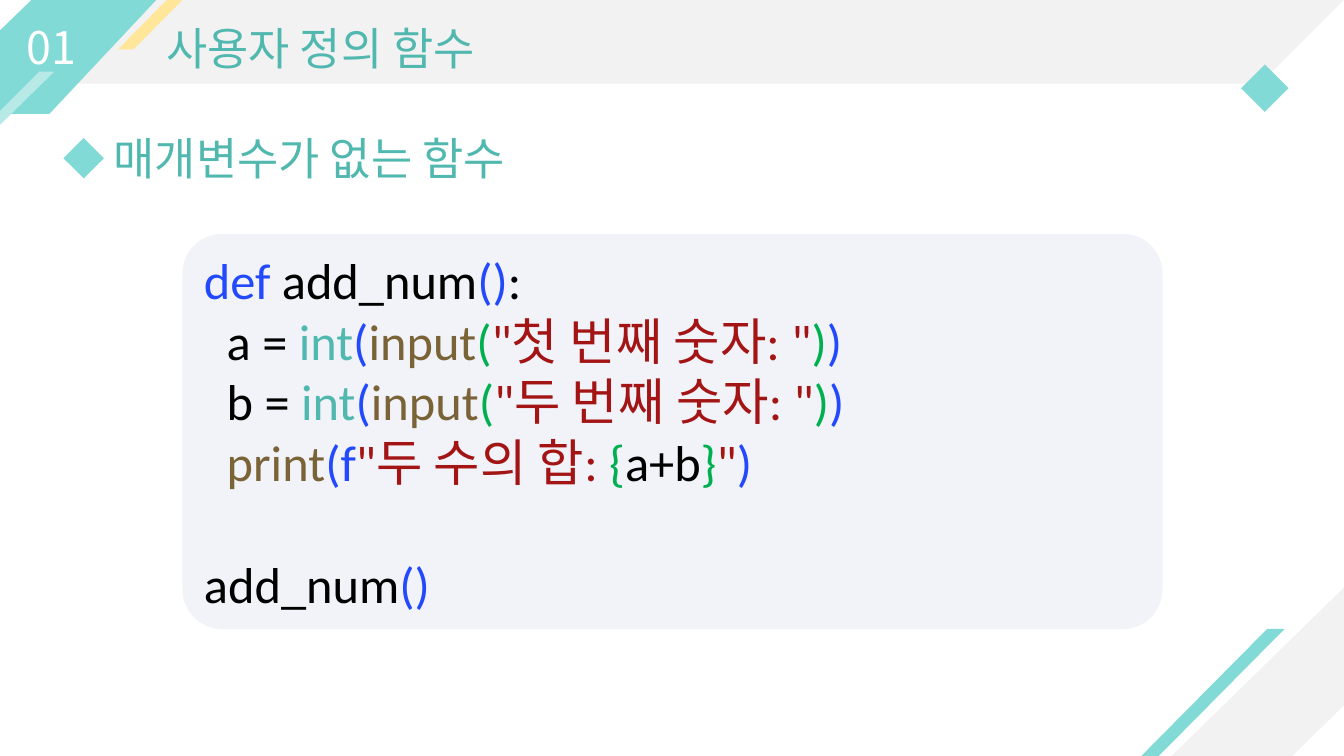
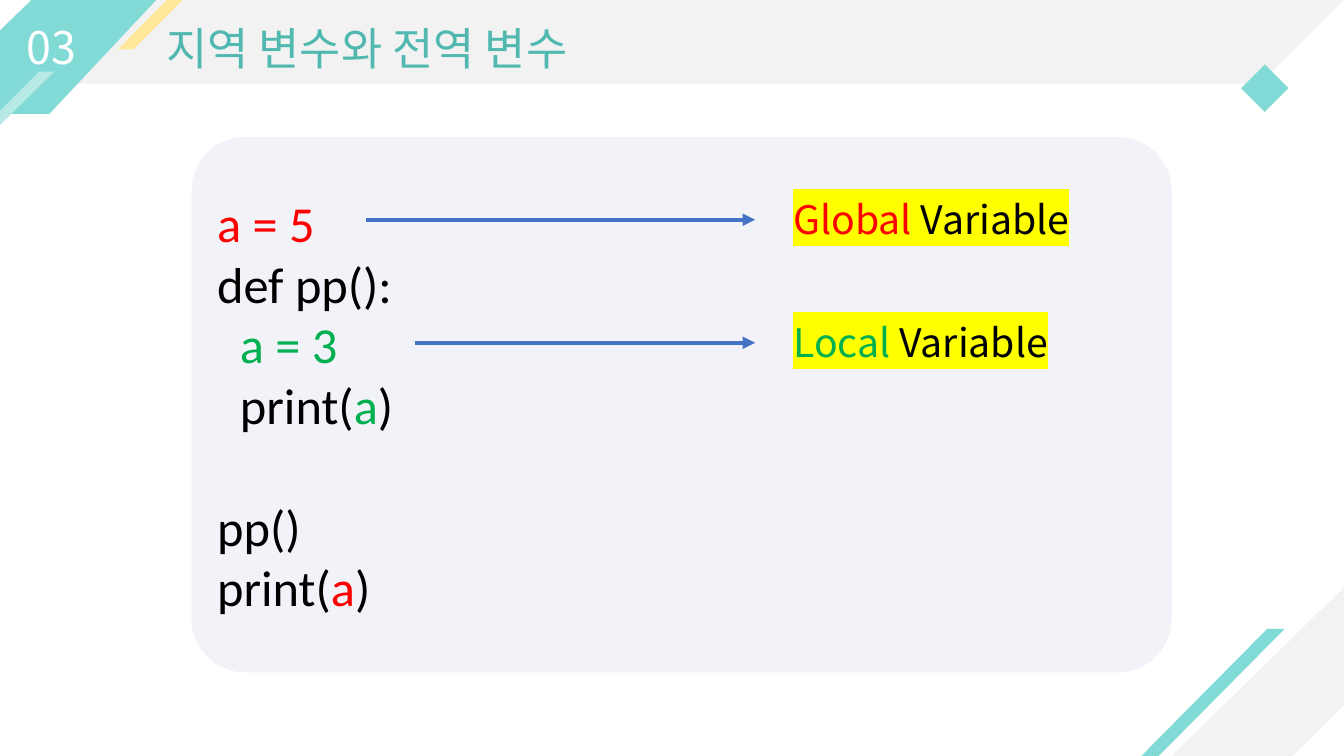
import pptx
import pptx.dml.color
import pptx.enum.shapes
import pptx.enum.text
import pptx.oxml.ns
import pptx.util
from lxml import etree

Inches = pptx.util.Inches
Pt = pptx.util.Pt
RGBColor = pptx.dml.color.RGBColor
Shape = pptx.enum.shapes.MSO_SHAPE
Align = pptx.enum.text.PP_ALIGN
qn = pptx.oxml.ns.qn

WHITE = RGBColor(0xFF, 0xFF, 0xFF)
BLACK = RGBColor(0x00, 0x00, 0x00)
GREY = RGBColor(0xF2, 0xF2, 0xF2)
MINT = RGBColor(0x81, 0xDA, 0xD6)
PALE_MINT = RGBColor(0xB7, 0xEA, 0xE6)
TEAL = RGBColor(0x51, 0xB8, 0xB0)
SAND = RGBColor(0xFF, 0xE6, 0x99)
PANEL = RGBColor(0xF2, 0xF3, 0xF9)
BLUE = RGBColor(0x22, 0x49, 0xFB)
OLIVE = RGBColor(0x79, 0x63, 0x37)
GREEN = RGBColor(0x00, 0xB0, 0x50)
MAROON = RGBColor(0xA3, 0x15, 0x15)
RED = RGBColor(0xFF, 0x00, 0x00)
YELLOW = RGBColor(0xFF, 0xFF, 0x00)
ARROW_BLUE = RGBColor(0x44, 0x72, 0xC4)

KOREAN_FONT = "Noto Sans CJK KR"
CODE_FONT = "Calibri"
HEADING_SIZE, CODE_SIZE, LABEL_SIZE = 32, 36, 28
CODE_LINE_HEIGHT = 44
WIDTH, HEIGHT = 13.33, 7.5


class Deck:
    def __init__(self):
        self.prs = pptx.Presentation()
        self.prs.slide_width = Inches(WIDTH)
        self.prs.slide_height = Inches(HEIGHT)
        self.slide = None

    def new_slide(self, number, title):
        self.slide = self.prs.slides.add_slide(self.prs.slide_layouts[6])
        self.decorate()
        self.text(0, 0.15, 1.03, 0.64, [(number, WHITE)], align=Align.CENTER)
        self.text(1.55, 0.16, 6.78, 0.64, [(title, TEAL)])

    def decorate(self):
        """Draw the title band and the corner ornaments."""
        self.shape(Shape.RIGHT_TRIANGLE, 11.62, 5.83, 1.71, 1.67, GREY, flip="flipH")
        self.shape(Shape.PARALLELOGRAM, 0.38, 0, 12.33, 0.83, GREY)
        self.shape(Shape.RIGHT_TRIANGLE, 12.5, 0, 0.83, 0.83, GREY, flip="flipV")
        self.shape(Shape.DIAMOND, 12.31, 0.64, 0.47, 0.47, MINT)
        self.polygon([(0, 0), (1.55, 0), (0.49, 1.13), (0, 1.13)], MINT)
        self.shape(Shape.RIGHT_TRIANGLE, 0, 0, 0.31, 0.3, WHITE, flip="flipV")
        self.shape(Shape.RIGHT_TRIANGLE, 12.82, 7, 0.51, 0.5, WHITE, flip="flipH")
        self.shape(Shape.PARALLELOGRAM, 11.32, 6.24, 1.42, 1.26, MINT, adjust=0.99)
        self.shape(Shape.PARALLELOGRAM, 1.17, 0, 0.64, 0.49, SAND, adjust=0.99)
        self.polygon([(0, 1.1), (0.39, 0.71), (0.54, 0.71), (0, 1.24)], PALE_MINT)

    def paint(self, shape, fill):
        shape.shadow.inherit = False
        shape.fill.solid()
        shape.fill.fore_color.rgb = fill
        shape.line.fill.background()

    def shape(self, preset, left, top, width, height, fill, flip=None, adjust=None):
        shape = self.slide.shapes.add_shape(
            preset, Inches(left), Inches(top), Inches(width), Inches(height))
        self.paint(shape, fill)
        if flip:
            shape._element.spPr.xfrm.set(flip, "1")
        if adjust is not None:
            shape.adjustments[0] = adjust
        return shape

    def polygon(self, points, fill):
        start, *others = [(Inches(x), Inches(y)) for x, y in points]
        builder = self.slide.shapes.build_freeform(*start)
        builder.add_line_segments(others, close=True)
        self.paint(builder.convert_to_shape(), fill)

    def fill_paragraph(self, paragraph, parts, font, size, highlight=None):
        """Fill a paragraph with (text, colour) parts."""
        paragraph.font.name = font
        paragraph.font.size = Pt(size)
        defaults = paragraph._p.pPr.find(qn("a:defRPr"))
        etree.SubElement(defaults, qn("a:ea")).set("typeface", KOREAN_FONT)
        if len(parts) == 1:
            paragraph.font.color.rgb = parts[0][1]
        for text, colour in parts:
            run = paragraph.add_run()
            run.text = text
            if len(parts) > 1:
                run.font.color.rgb = colour
            if highlight is not None:
                mark = etree.SubElement(run.font._element, qn("a:highlight"))
                etree.SubElement(mark, qn("a:srgbClr")).set("val", str(highlight))

    def text(self, left, top, width, height, parts, size=HEADING_SIZE,
             align=Align.LEFT, highlight=None):
        box = self.slide.shapes.add_textbox(
            Inches(left), Inches(top), Inches(width), Inches(height))
        frame = box.text_frame
        frame.word_wrap = True
        frame.auto_size = pptx.enum.text.MSO_AUTO_SIZE.SHAPE_TO_FIT_TEXT
        frame.paragraphs[0].alignment = align
        self.fill_paragraph(frame.paragraphs[0], parts, KOREAN_FONT, size, highlight)

    def heading(self, text):
        self.shape(Shape.DIAMOND, 0.63, 1.37, 0.4, 0.4, MINT)
        self.text(1.03, 1.25, 6.8, 0.64, [(text, TEAL)])

    def code(self, left, top, height, blocks):
        """Show blocks of code lines, one line's height apart, on a panel."""
        panel = self.shape(Shape.ROUNDED_RECTANGLE, left, top, 9.72, height,
                           PANEL, adjust=0.1)
        frame = panel.text_frame
        frame.word_wrap = True
        frame.vertical_anchor = pptx.enum.text.MSO_ANCHOR.MIDDLE
        for block_index, block in enumerate(blocks):
            for line_index, parts in enumerate(block):
                first = block_index == line_index == 0
                paragraph = frame.paragraphs[0] if first else frame.add_paragraph()
                paragraph.alignment = Align.LEFT
                if block_index and not line_index:
                    paragraph.space_before = Pt(CODE_LINE_HEIGHT)
                self.fill_paragraph(paragraph, parts, CODE_FONT, CODE_SIZE)

    def scope_label(self, arrow_start, arrow_y, scope, colour):
        """Point an arrow from a code line to its highlighted scope name."""
        arrow = self.slide.shapes.add_connector(
            pptx.enum.shapes.MSO_CONNECTOR.STRAIGHT,
            Inches(arrow_start), Inches(arrow_y), Inches(7.49), Inches(arrow_y))
        arrow.line.color.rgb = ARROW_BLUE
        arrow.line.width = Pt(3)
        etree.SubElement(arrow.line._get_or_add_ln(), qn("a:tailEnd")).set("type", "triangle")
        etree.SubElement(arrow._element.spPr, qn("a:effectLst"))
        self.text(7.77, arrow_y - 0.29, 3.4, 0.57,
                  [(scope, colour), (" Variable", BLACK)],
                  size=LABEL_SIZE, highlight=YELLOW)


def input_line(variable, prompt):
    return [(f"  {variable} = ", BLACK), ("int", TEAL), ("(", BLUE),
            ("input", OLIVE), ("(", GREEN), (f'"{prompt}: "', MAROON),
            (")", GREEN), (")", BLUE)]


def main():
    deck = Deck()

    deck.new_slide("01", "사용자 정의 함수")
    deck.heading("매개변수가 없는 함수")
    definition = [
        [("def ", BLUE), ("add_num", BLACK), ("()", BLUE), (":", BLACK)],
        input_line("a", "첫 번째 숫자"),
        input_line("b", "두 번째 숫자"),
        [("  ", BLACK), ("print", OLIVE), ("(f", BLUE), ('"두 수의 합: ', MAROON),
         ("{", GREEN), ("a+b", BLACK), ("}", GREEN), ('"', MAROON), (")", BLUE)],
    ]
    call = [[("add_num", BLACK), ("()", BLUE)]]
    deck.code(1.81, 2.32, 3.92, [definition, call])

    deck.new_slide("03", "지역 변수와 전역 변수")
    definition = [
        [("a = 5", RED)],
        [("def pp():", BLACK)],
        [("  a = 3", GREEN)],
        [("  print(", BLACK), ("a", GREEN), (")", BLACK)],
    ]
    calls = [
        [("pp()", BLACK)],
        [("print(", BLACK), ("a", RED), (")", BLACK)],
    ]
    deck.code(1.9, 1.36, 5.31, [definition, calls])
    deck.scope_label(3.63, 2.18, "Global", RED)
    deck.scope_label(4.12, 3.4, "Local", GREEN)

    deck.prs.save("out.pptx")


if __name__ == "__main__":
    main()
